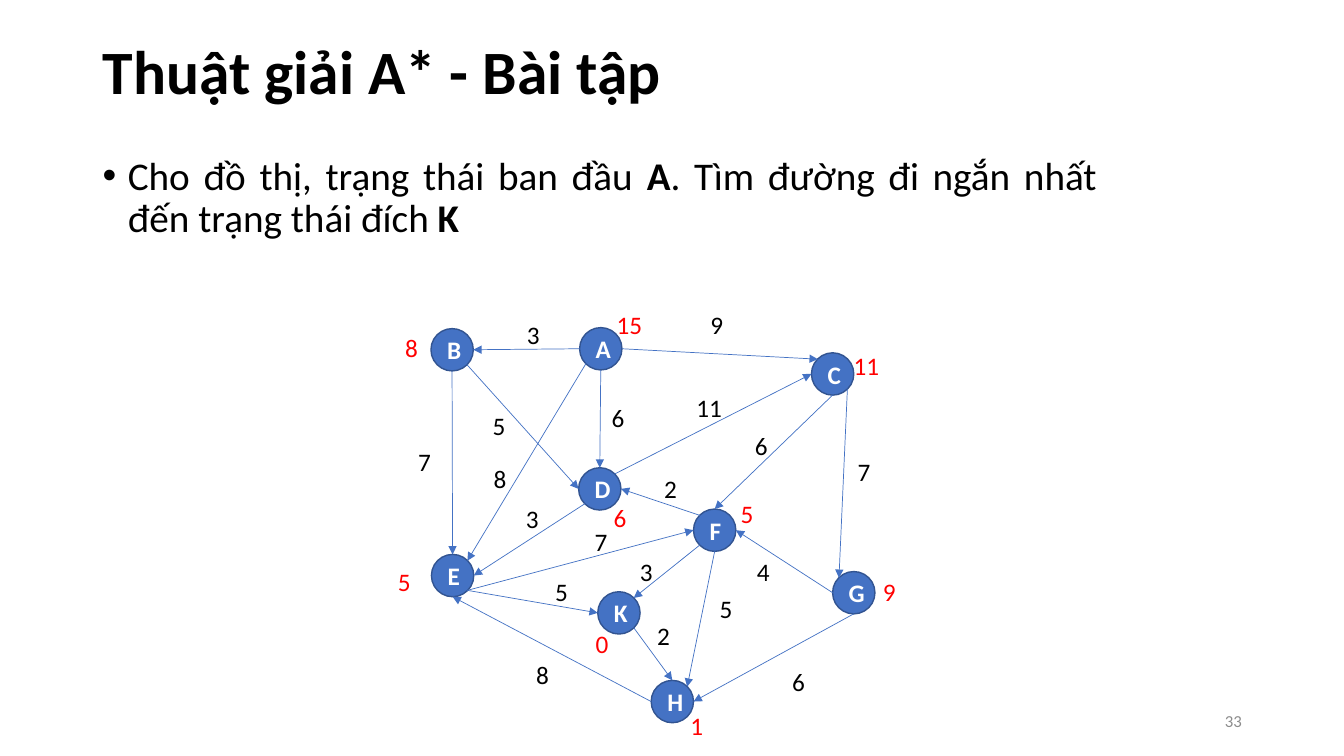
"""Build the A* exercise slide: a weighted directed graph with heuristic values."""
from dataclasses import dataclass

from lxml import etree
from pptx import Presentation
from pptx.dml.color import RGBColor
from pptx.enum.shapes import MSO_CONNECTOR, MSO_SHAPE
from pptx.enum.text import MSO_ANCHOR, MSO_AUTO_SIZE, PP_ALIGN
from pptx.oxml.ns import qn
from pptx.util import Inches, Pt

STRAIGHT, OVAL = MSO_CONNECTOR.STRAIGHT, MSO_SHAPE.OVAL
MIDDLE, TOP = MSO_ANCHOR.MIDDLE, MSO_ANCHOR.TOP
LEFT, CENTER, RIGHT, JUSTIFY = PP_ALIGN.LEFT, PP_ALIGN.CENTER, PP_ALIGN.RIGHT, PP_ALIGN.JUSTIFY
FIXED, GROW = MSO_AUTO_SIZE.NONE, MSO_AUTO_SIZE.SHAPE_TO_FIT_TEXT


@dataclass(frozen=True)
class Theme:
    font: str = "Calibri"
    ink: str = "000000"
    node: str = "4472C4"
    rim: str = "325491"
    letter: str = "FFFFFF"
    heuristic: str = "FF0000"
    muted: str = "8C8C8C"
    title_size: int = 44
    body_size: int = 28
    graph_size: int = 18
    number_size: int = 12


THEME = Theme()
CELL = Inches(0.1)
COLUMNS, ROWS = 133.33, 75
DIAMETER = 4.2
LABEL_HEIGHT = 4
DIGIT_WIDTH, LABEL_PADDING = 1.2, 2.2

SITES = {
    "N": (0.5, 0), "NE": (0.85, 0.15), "E": (1, 0.5), "SE": (0.85, 0.85),
    "S": (0.5, 1), "SW": (0.15, 0.85), "W": (0, 0.5), "NW": (0.15, 0.15),
}

STATES = {
    "A": (57.5, 32.5, "15", 60.2, 30.2),
    "B": (42.75, 32.6, "8", 39.2, 32.5),
    "C": (80.5, 35, "11", 83.7, 34.3),
    "D": (57.4, 46.4, "6", 59.9, 49.3),
    "E": (42.8, 55, "5", 38.5, 55.7),
    "F": (68.8, 50.5, "5", 72.5, 48.9),
    "G": (82.6, 56.7, "9", 86.6, 56.7),
    "H": (64.6, 67.5, "1", 67.5, 70),
    "K": (59.3, 58.7, "0", 58.1, 61.8),
}

EDGES = [
    ("A", "W", "B", "E", "3", 51.3, 31.2),
    ("A", "E", "C", "NW", "9", 69.5, 30.2),
    ("A", "S", "D", "N", "6", 59.7, 39.4),
    ("A", "SW", "E", "NE", "8", 48, 45.5),
    ("B", "S", "E", "N", "7", 40.5, 43.8),
    ("B", "SE", "D", "W", "5", 47.9, 40.2),
    ("C", "S", "F", "N", "6", 73.9, 42.2),
    ("C", "SE", "G", "NW", "7", 84.1, 44.8),
    ("D", "SW", "E", "E", "3", 51.2, 49.4),
    ("D", "NE", "C", "W", "11", 68.1, 38.4),
    ("E", "SE", "F", "W", "7", 58, 51.7),
    ("E", "SE", "K", "W", "5", 54.1, 56.7),
    ("F", "NW", "D", "E", "2", 64.9, 46.5),
    ("F", "SW", "K", "NE", "3", 62.5, 54.7),
    ("F", "S", "H", "NE", "5", 70.4, 58.4),
    ("G", "W", "F", "E", "4", 74.1, 54.7),
    ("G", "S", "H", "E", "6", 77.6, 65.6),
    ("H", "W", "E", "S", "8", 52.2, 64.9),
    ("K", "SE", "H", "N", "2", 64.2, 61.1),
]


def cells(*counts):
    return [round(count * CELL) for count in counts]


def write(shape, runs, size, color, align=LEFT, anchor=TOP, bold=False, wrap=True, fit=FIXED):
    frame = shape.text_frame
    frame.word_wrap, frame.auto_size, frame.vertical_anchor = wrap, fit, anchor
    paragraph = frame.paragraphs[0]
    paragraph.alignment = align
    paragraph.font.name, paragraph.font.size = THEME.font, Pt(size)
    paragraph.font.bold = bold
    paragraph.font.color.rgb = RGBColor.from_string(color)
    for wording, strong in runs:
        run = paragraph.add_run()
        run.text = wording
        if strong:
            run.font.bold = True
    return paragraph


deck = Presentation()
deck.slide_width, deck.slide_height = cells(COLUMNS, ROWS)
slide = deck.slides.add_slide(deck.slide_layouts[5])
shapes = slide.shapes

heading = shapes.title
heading.left, heading.top, heading.width, heading.height = cells(9.2, 0.1, 115, 14.5)
write(heading, [("Thuật giải A* - Bài tập", False)], THEME.title_size, THEME.ink,
      anchor=MIDDLE, bold=True).line_spacing = 0.9

task = write(
    shapes.add_textbox(*cells(9.2, 15, 100.6, 49.8)),
    [("Cho đồ thị, trạng thái ban đầu ", False), ("A", True),
     (". Tìm đường đi ngắn nhất đến trạng thái đích ", False), ("K", True)],
    THEME.body_size, THEME.ink, align=JUSTIFY)
task.line_spacing, task.space_before = 0.9, Pt(10)
task_format = task._p.get_or_add_pPr()
task_format.set("marL", str(Inches(0.25)))
task_format.set("indent", str(-Inches(0.25)))
bullet_font = etree.Element(qn("a:buFont"), typeface="Arial")
bullet = etree.Element(qn("a:buChar"), char="•")
task_format.find(qn("a:spcBef")).addnext(bullet_font)
bullet_font.addnext(bullet)

labels = []
for state, (column, row, estimate, label_column, label_row) in STATES.items():
    circle = shapes.add_shape(OVAL, *cells(column, row, DIAMETER, DIAMETER))
    circle.shadow.inherit = False
    circle.fill.solid()
    circle.fill.fore_color.rgb = RGBColor.from_string(THEME.node)
    circle.line.color.rgb = RGBColor.from_string(THEME.rim)
    circle.line.width = Pt(1)
    write(circle, [(state, False)], THEME.graph_size, THEME.letter,
          align=CENTER, anchor=MIDDLE, bold=True)
    labels.append((estimate, label_column, label_row, THEME.heuristic))

for origin, exit_site, target, entry_site, cost, label_column, label_row in EDGES:
    ends = []
    for state, site in ((origin, exit_site), (target, entry_site)):
        across, down = SITES[site]
        ends += [STATES[state][0] + across * DIAMETER, STATES[state][1] + down * DIAMETER]
    arrow = shapes.add_connector(STRAIGHT, *cells(*ends))
    arrow.line.color.rgb = RGBColor.from_string(THEME.node)
    arrow.line.width = Pt(0.5)
    etree.SubElement(arrow.line._get_or_add_ln(), qn("a:tailEnd"), type="triangle")
    etree.SubElement(arrow._element.spPr, qn("a:effectLst"))
    labels.append((cost, label_column, label_row, THEME.ink))

for value, column, row, color in labels:
    width = LABEL_PADDING + DIGIT_WIDTH * len(value)
    write(shapes.add_textbox(*cells(column, row, width, LABEL_HEIGHT)),
          [(value, False)], THEME.graph_size, color, wrap=False, fit=GROW)

write(shapes.add_textbox(*cells(94.2, 69.5, 30, LABEL_HEIGHT)), [("33", False)],
      THEME.number_size, THEME.muted, align=RIGHT, anchor=MIDDLE)

deck.save("out.pptx")
